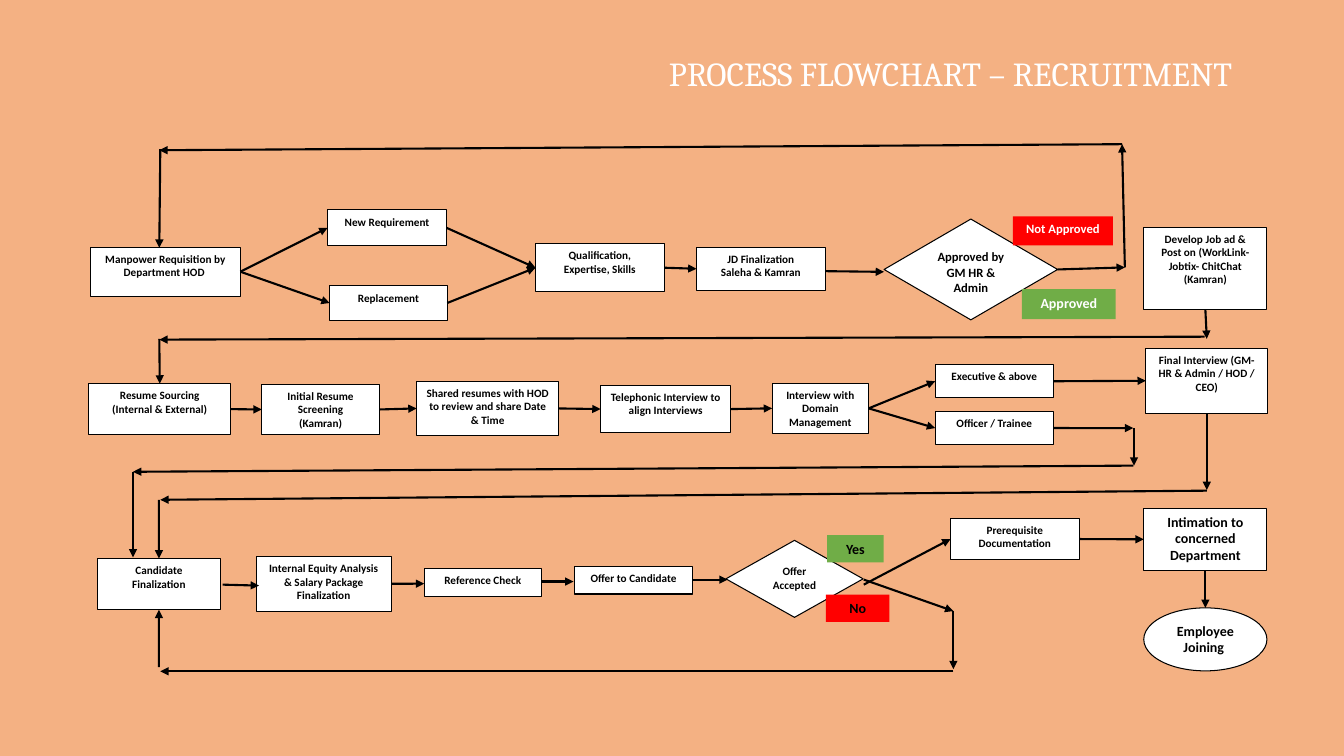
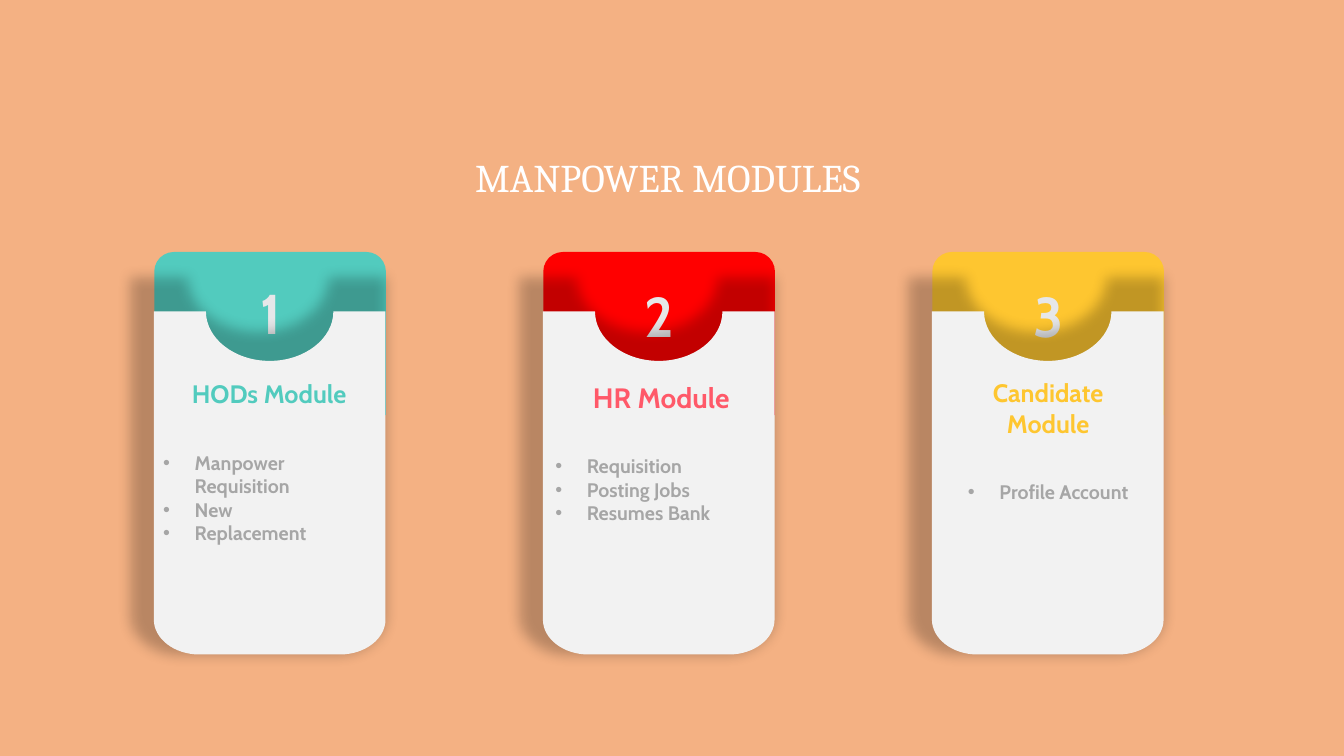
from dataclasses import dataclass

from lxml import etree
from pptx import Presentation
from pptx import util as u
from pptx.dml.color import RGBColor
from pptx.enum import shapes, text
from pptx.oxml.ns import qn

Pt = u.Pt
Align = text.PP_ALIGN
Kind = shapes.MSO_SHAPE
TOP, LEFT, BOTTOM, RIGHT = range(4)


# Shared look
@dataclass(frozen=True)
class Theme:
    background: str = "F4B183"
    white: str = "FFFFFF"
    black: str = "000000"
    green: str = "70AD47"
    red: str = "FF0000"
    teal: str = "52CBBE"
    yellow: str = "FEC630"
    coral: str = "FF5969"
    panel: str = "F2F2F2"
    number: str = "E6E7E9"
    grey: str = "A6A6A6"
    title_font: str = "Cambria"
    flow_font: str = "Calibri"
    card_font: str = "Cabin"
    small: float = 8
    medium: float = 9
    large: float = 10
    list_size: float = 14
    number_size: float = 40
    outline: float = 0.75
    arrow: float = 1.5


THEME = Theme()


@dataclass(frozen=True)
class Node:
    name: str
    words: str
    left: float
    top: float
    width: float
    height: float
    size: float = THEME.small
    kind: Kind = Kind.RECTANGLE


@dataclass(frozen=True)
class Label:
    words: str
    left: float
    top: float
    width: float
    height: float
    fill: str
    color: str
    size: float = THEME.large


@dataclass(frozen=True)
class Card:
    number: str
    heading: str
    items: str
    fill: str
    heading_color: str
    heading_size: float
    text_left: float
    number_top: float
    heading_top: float
    list_top: float
    list_align: Align = Align.LEFT
    number_fill: str = ""


# An arrow ends either at a side of a named node or at a free point
End = tuple[str | float, float]

NODES = [
    Node("new", "New Requirement", 234, 150, 85, 25.5),
    Node("replacement", "Replacement", 235.5, 204.2, 84, 24.5),
    Node("description", "JD Finalization\nSaleha & Kamran", 497.5, 176.5, 92, 31),
    Node("approval", "Approved by GM HR & Admin", 631.5, 156.5, 124, 72,
         THEME.medium, Kind.DIAMOND),
    Node("skills", "Qualification, Expertise, Skills", 382.5, 174, 92, 34.5),
    Node("requisition", "Manpower Requisition by Department HOD ", 64.7, 176.6, 107, 35),
    Node("sourcing", "Resume Sourcing (Internal & External)", 63.4, 274, 101.5, 36.5),
    Node("telephone", "Telephonic Interview to align Interviews", 429, 275.2, 93, 34),
    Node("screening", "Initial Resume Screening\n(Kamran)", 187, 274.5, 84, 36),
    Node("domain", "Interview with Domain Management", 551.5, 273.7, 69, 36),
    Node("executive", "Executive & above", 668, 260.5, 84.5, 23.7),
    Node("officer", "Officer / Trainee", 668, 293.8, 84.5, 23.9),
    Node("final", "Final Interview (GM-HR & Admin / HOD / CEO)", 818.5, 248.8, 87, 46.4),
    Node("job ad", "Develop Job ad & Post on (WorkLink-Jobtix- ChitChat\n(Kamran)",
         817, 162.3, 88, 59),
    Node("shared", "Shared resumes with HOD to review and share Date & Time",
         297.6, 272.4, 101.7, 38.7),
    Node("candidate", "Candidate Finalization", 69.8, 399, 87.5, 36.6),
    Node("equity", "Internal Equity Analysis & Salary Package Finalization",
         183, 397.5, 96.5, 39),
    Node("offer", "Offer to Candidate", 410.4, 404.5, 84.4, 19.8),
    Node("accepted", "Offer Accepted", 518.5, 386, 98, 55, kind=Kind.DIAMOND),
    Node("joining", "Employee Joining ", 817, 434.2, 88, 45, THEME.large, Kind.OVAL),
    Node("reference", "Reference Check", 303, 406, 83.7, 19.8),
    Node("documents", "Prerequisite Documentation", 679, 370.3, 91.8, 29.5),
    Node("intimation", "Intimation to concerned Department", 817, 363, 88, 44.5, THEME.large),
]

LABELS = [
    Label("Approved", 730, 206.5, 67, 21.5, THEME.green, THEME.white),
    Label("Not Approved", 723.5, 154.6, 71.5, 20.8, THEME.red, THEME.white, THEME.medium),
    Label("Yes", 590.8, 382.3, 40.4, 19.4, THEME.green, THEME.black),
    Label("No", 589.9, 424.8, 45.5, 19.4, THEME.red, THEME.black),
]

# Neighbours joined from a right side to a left side
STEPS = [
    ("requisition", "new"), ("requisition", "replacement"), ("new", "skills"),
    ("replacement", "skills"), ("skills", "description"), ("sourcing", "screening"),
    ("screening", "shared"), ("shared", "telephone"), ("telephone", "domain"),
    ("domain", "executive"), ("domain", "officer"), ("executive", "final"),
    ("documents", "intimation"),
]

ROUTES: list[tuple[End, End]] = [
    # Approval, and the return to requisition
    ((589.5, 193.7), (631.5, 194.2)),
    (("approval", RIGHT), (803.5, 191)),
    ((803.5, 191), (801.5, 103)),
    ((801.5, 103), (113.8, 107.3)),
    ((114.5, 106.6), (113.8, 177)),
    # Job ad to sourcing
    (("job ad", BOTTOM), (862, 242)),
    ((860.5, 240.5), (113.8, 242.6)),
    ((113.8, 242), ("sourcing", TOP)),
    # Interviews to candidate finalization
    (("officer", RIGHT), (809.5, 305.8)),
    ((810, 306), (810, 332.6)),
    ((809.5, 332.6), (95, 337)),
    ((95, 337), (95, 398.2)),
    (("final", BOTTOM), (862, 350)),
    ((862, 350.5), (114.5, 357)),
    ((113.5, 357), ("candidate", TOP)),
    # Checks and offer
    ((159, 417.6), (185, 418.3)),
    (("equity", RIGHT), (303, 416.9)),
    ((386.7, 415.4), (409.7, 415.4)),
    ((494.8, 414), (519.8, 414)),
    # Offer answers, and the return after a refusal
    ((617, 417.6), ("documents", LEFT)),
    ((617, 414), (681, 436.5)),
    ((681, 479.5), (114.5, 479.5)),
    ((681, 436.5), (681, 478)),
    ((113.5, 476.6), ("candidate", BOTTOM)),
    (("intimation", BOTTOM), ("joining", TOP)),
]

CARDS = [
    Card("1", "HODs Module", "Manpower Requisition\nNew\nReplacement", THEME.teal,
         THEME.teal, 18, 109.5, 195.3, 267, 318.4),
    Card("2", "HR Module", "Requisition\nPosting Jobs\nResumes Bank", THEME.red,
         THEME.coral, 20, 389.6, 197.3, 268.5, 320.9, number_fill=THEME.red),
    Card("3", "Candidate\nModule", "Profile Account", THEME.yellow,
         THEME.yellow, 18, 666, 197.3, 266.3, 339, Align.CENTER),
]
CARD_LEFT, CARD_STEP, CARD_WIDTH = 110.2, 277.9, 165.5


# Drawing helpers
def rgb(color: str) -> RGBColor:
    return RGBColor.from_string(color)


def write(shape, words: str, size: float, font: str, color: str, bold: bool = True,
          align: Align = Align.CENTER, bullet: str = "") -> None:
    frame = shape.text_frame
    frame.word_wrap = True
    frame.vertical_anchor = text.MSO_ANCHOR.TOP
    frame.text = words
    for paragraph in frame.paragraphs:
        paragraph.alignment = align
        if bullet:
            properties = paragraph._p.get_or_add_pPr()
            properties.set("marL", str(Pt(22.5)))
            properties.set("indent", str(-Pt(22.5)))
            etree.SubElement(properties, qn("a:buFont"), typeface="Arial")
            etree.SubElement(properties, qn("a:buChar"), char=bullet)
        paragraph.font.size = Pt(size)
        paragraph.font.name = font
        paragraph.font.bold = bold
        paragraph.font.color.rgb = rgb(color)


def paint(shape, fill: str, outline: str = "") -> None:
    shape.shadow.inherit = False
    shape.fill.solid()
    shape.fill.fore_color.rgb = rgb(fill)
    if outline:
        shape.line.color.rgb = rgb(outline)
        shape.line.width = Pt(THEME.outline)
    else:
        shape.line.fill.background()


def add_text(slide, left: float, top: float, width: float, height: float,
             words: str, *style, fill: str = "", **options):
    place = Pt(left), Pt(top), Pt(width), Pt(height)
    if fill:
        box = slide.shapes.add_shape(Kind.RECTANGLE, *place)
        paint(box, fill)
    else:
        box = slide.shapes.add_textbox(*place)
    write(box, words, *style, **options)
    return box


def add_title(slide, words: str, left: float, top: float, width: float,
              height: float, size: float):
    return add_text(slide, left, top, width, height, words, size,
                    THEME.title_font, THEME.white, bold=False)


def add_block(slide, item: Node | Label, kind: Kind, fill: str, color: str, outline: str):
    shape = slide.shapes.add_shape(kind, Pt(item.left), Pt(item.top),
                                   Pt(item.width), Pt(item.height))
    paint(shape, fill, outline)
    write(shape, item.words, item.size, THEME.flow_font, color)
    if kind == Kind.DIAMOND:
        shape.text_frame.margin_left = shape.text_frame.margin_right = Pt(6)
    return shape


def add_arrow(slide, blocks: dict, start: End, end: End) -> None:
    corners = [Pt(0) if isinstance(point[0], str) else Pt(value)
               for point in (start, end) for value in point]
    connector = slide.shapes.add_connector(shapes.MSO_CONNECTOR.STRAIGHT, *corners)
    for point, join in ((start, connector.begin_connect), (end, connector.end_connect)):
        if isinstance(point[0], str):
            join(blocks[point[0]], point[1])
    connector.line.color.rgb = rgb(THEME.black)
    connector.line.width = Pt(THEME.arrow)
    etree.SubElement(connector.line._get_or_add_ln(), qn("a:tailEnd"), type="triangle")
    etree.SubElement(connector._element.spPr, qn("a:effectLst"))


def add_panel(slide, left: float) -> None:
    top, bottom, right, middle = 222.5, 467.5, left + CARD_WIDTH, left + CARD_WIDTH / 2
    notch, depth, across, down = 45.5, 35.3, 32.5, 25
    bend = 0.55  # share of a radius that a curve's handle takes
    # One point is a straight edge, three are a curve
    edges = [
        [(middle - notch, top)],
        [(middle - notch, top + depth * bend), (middle - notch * bend, top + depth),
         (middle, top + depth)],
        [(middle + notch * bend, top + depth), (middle + notch, top + depth * bend),
         (middle + notch, top)],
        [(right, top)],
        [(right, bottom - down)],
        [(right, bottom - down * (1 - bend)), (right - across * (1 - bend), bottom),
         (right - across, bottom)],
        [(left + across, bottom)],
        [(left + across * (1 - bend), bottom), (left, bottom - down * (1 - bend)),
         (left, bottom - down)],
    ]
    builder = slide.shapes.build_freeform(Pt(left), Pt(top))
    builder.add_line_segments([(Pt(x), Pt(y)) for edge in edges for x, y in edge])
    panel = builder.convert_to_shape()
    lines = iter(list(panel._element.spPr.iter(qn("a:lnTo"))))
    for edge in edges:
        first, *others = [next(lines) for _ in edge]
        if others:
            curve = etree.Element(qn("a:cubicBezTo"))
            first.addprevious(curve)
            for line in (first, *others):
                curve.append(line[0])
                line.getparent().remove(line)
    paint(panel, THEME.panel)
    # Soft shadow growing up and left from the bottom right corner
    effects = panel._element.spPr.find(qn("a:effectLst"))
    shadow = etree.SubElement(effects, qn("a:outerShdw"), blurRad=str(Pt(10)),
                              sx="110000", sy="110000", algn="br", rotWithShape="0")
    tint = etree.SubElement(shadow, qn("a:srgbClr"), val=THEME.black)
    etree.SubElement(tint, qn("a:alpha"), val="23000")


# Slides
def build_flowchart(slide) -> None:
    blocks = {node.name: add_block(slide, node, node.kind, THEME.white, THEME.black, THEME.black)
              for node in NODES}
    for label in LABELS:
        add_block(slide, label, Kind.RECTANGLE, label.fill, label.color, "")
    title = add_title(slide, "PROCESS FLOWCHART – RECRUITMENT", 427.2, 34.5, 503.5, 36, 24)
    title.text_frame.vertical_anchor = text.MSO_ANCHOR.MIDDLE
    joined = [((source, RIGHT), (target, LEFT)) for source, target in STEPS]
    for start, end in joined + ROUTES:
        add_arrow(slide, blocks, start, end)


def build_modules(slide) -> None:
    for index, card in enumerate(CARDS):
        left = CARD_LEFT + index * CARD_STEP
        header = slide.shapes.add_shape(Kind.ROUND_2_SAME_RECTANGLE, Pt(left), Pt(180),
                                        Pt(CARD_WIDTH), Pt(116.5))
        header.adjustments[0] = 0.12
        paint(header, card.fill)
        add_text(slide, left + 36.5, card.number_top, 93, 82, card.number,
                 THEME.number_size, THEME.card_font, THEME.number, fill=card.number_fill)
        add_panel(slide, left - 0.3)
        add_text(slide, card.text_left, card.heading_top, CARD_WIDTH, 46, card.heading,
                 card.heading_size, THEME.card_font, card.heading_color)
        add_text(slide, card.text_left, card.list_top, CARD_WIDTH, 110, card.items,
                 THEME.list_size, THEME.card_font, THEME.grey,
                 align=card.list_align, bullet="•")
    title = add_title(slide, "MANPOWER MODULES ", 309.8, 106, 340.5, 41, 28)
    title.text_frame.word_wrap = False


def main() -> None:
    presentation = Presentation()
    presentation.slide_width, presentation.slide_height = Pt(960), Pt(540)
    background = presentation.slide_master.background.fill
    background.solid()
    background.fore_color.rgb = rgb(THEME.background)
    blank = presentation.slide_layouts[6]
    for build in (build_flowchart, build_modules):
        build(presentation.slides.add_slide(blank))
    presentation.save("out.pptx")


if __name__ == "__main__":
    main()
